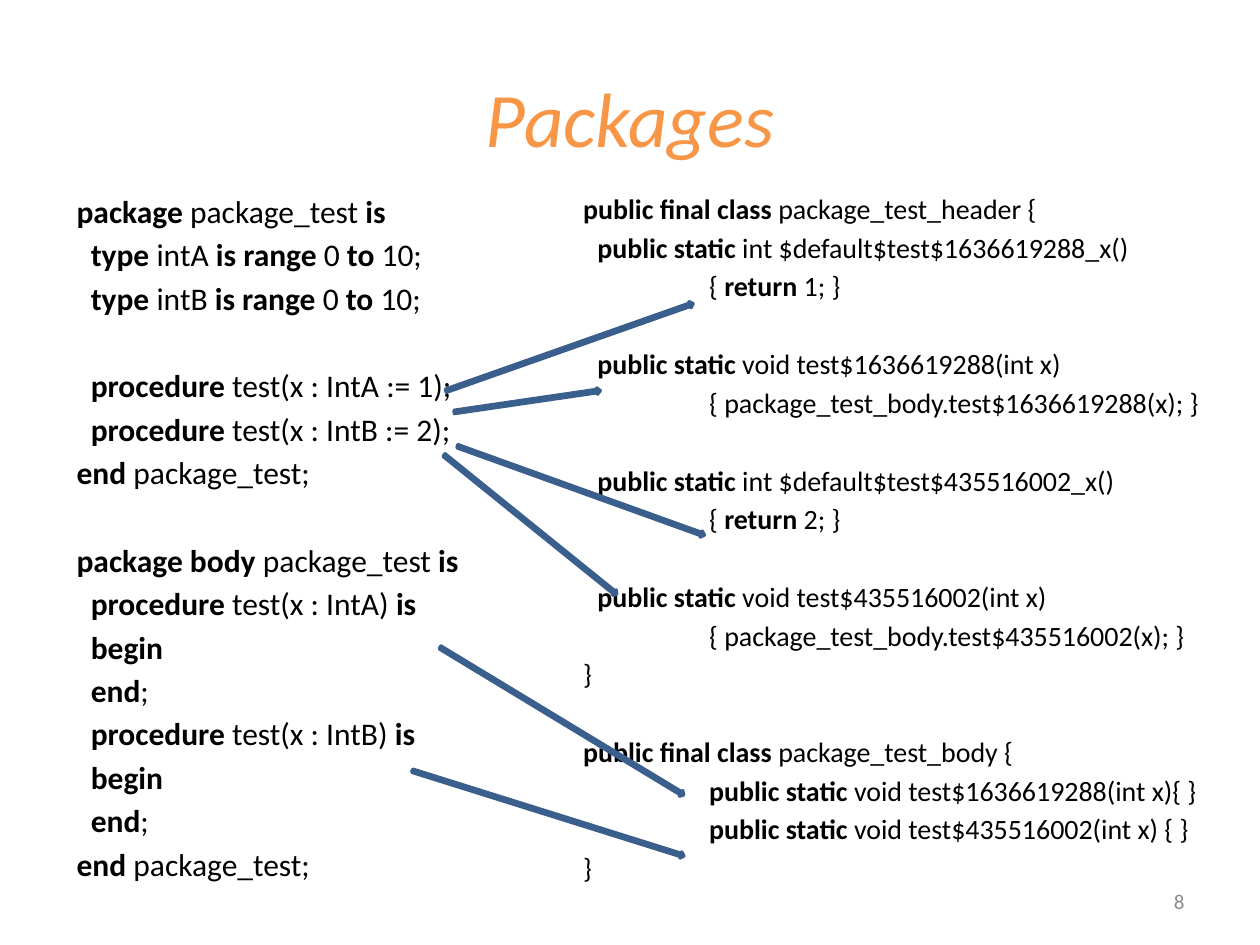
from dataclasses import dataclass
from math import atan2, degrees, hypot

from pptx import Presentation
from pptx.dml.color import RGBColor
from pptx.enum.shapes import MSO_SHAPE
from pptx.enum.text import MSO_ANCHOR, PP_ALIGN
from pptx.util import Pt


@dataclass(frozen=True)
class Theme:
    font: str = "Calibri"
    accent: str = "F79646"
    ink: str = "000000"
    muted: str = "8C8C8C"
    arrow_fill: str = "4F81BD"
    arrow_line: str = "3A5F8C"
    title_size: float = 44
    ada_size: float = 18
    java_size: float = 16
    number_size: float = 12
    line_height: float = 1.22
    code_spacing: float = 0.18


THEME = Theme()

# Code lines are (indent in points, text); *stars* mark bold keywords.
# None opens a gap of one line.
STEP, DEEP = 8.1, 72
ADA = [
    (0, "*package* package_test *is*"),
    (STEP, "*type* intA *is range* 0 *to* 10;"),
    (STEP, "*type* intB *is range* 0 *to* 10;"),
    None,
    (STEP, "*procedure* test(x : IntA := 1);"),
    (STEP, "*procedure* test(x : IntB := 2);"),
    (0, "*end* package_test;"),
    None,
    (0, "*package body* package_test *is*"),
    (STEP, "*procedure* test(x : IntA) *is*"),
    (STEP, "*begin*"),
    (STEP, "*end*;"),
    (STEP, "*procedure* test(x : IntB) *is*"),
    (STEP, "*begin*"),
    (STEP, "*end*;"),
    (0, "*end* package_test;"),
]
JAVA = [
    (0, "*public final class* package_test_header {"),
    (STEP, "*public static* int $default$test$1636619288_x()"),
    (DEEP, "{ *return* 1; }"),
    None,
    (STEP, "*public static* void test$1636619288(int x)"),
    (DEEP, "{ package_test_body.test$1636619288(x); }"),
    None,
    (STEP, "*public static* int $default$test$435516002_x()"),
    (DEEP, "{ *return* 2; }"),
    None,
    (STEP, "*public static* void test$435516002(int x)"),
    (DEEP, "{ package_test_body.test$435516002(x); }"),
    (0, "}"),
    None,
    (0, "*public final class* package_test_body {"),
    (DEEP, "*public static* void test$1636619288(int x){ }"),
    (DEEP, "*public static* void test$435516002(int x) { }"),
    (0, "}"),
]

# Tail and tip of each arrow, from the corner of the code area
TRANSLATIONS = [
    ((215.5, 264), (354.7, 348.3)),
    ((199.6, 334.4), (354.8, 383.1)),
    ((217.8, 154.1), (316.4, 233.7)),
    ((225.4, 149), (366.4, 199.8)),
    ((218.8, 117.3), (360, 67.5)),
    ((223.6, 129.4), (307, 117.2)),
]


def add_frame(slide, box, anchor=MSO_ANCHOR.TOP):
    frame = slide.shapes.add_textbox(*(Pt(v) for v in box)).text_frame
    frame.word_wrap = True
    frame.vertical_anchor = anchor
    return frame


def write(paragraph, text, *, size, color=THEME.ink, italic=False,
          align=PP_ALIGN.LEFT, before=0, indent=0):
    paragraph.alignment = align
    paragraph.space_before = Pt(before)
    properties = paragraph._p.get_or_add_pPr()
    properties.set("marL", str(Pt(indent)))
    properties.set("indent", "0")
    for position, part in enumerate(text.split("*")):
        if part:
            run = paragraph.add_run()
            run.text = part
            run.font.name = THEME.font
            run.font.size = Pt(size)
            run.font.bold = position % 2 == 1
            run.font.italic = italic
            run.font.color.rgb = RGBColor.from_string(color)


def add_label(slide, box, text, **style):
    frame = add_frame(slide, box, MSO_ANCHOR.MIDDLE)
    write(frame.paragraphs[0], text, **style)


def add_listing(slide, box, lines, size):
    frame = add_frame(slide, box)
    spacing = size * THEME.code_spacing
    before, paragraph = spacing, frame.paragraphs[0]
    for line in lines:
        if line is None:
            before += size * THEME.line_height + spacing
            continue
        indent, text = line
        paragraph = paragraph or frame.add_paragraph()
        write(paragraph, text, size=size, before=before, indent=indent)
        before, paragraph = spacing, None


def add_arrows(slide, box, arrows, thickness=3.6):
    left, top = box[:2]
    for (x1, y1), (x2, y2) in arrows:
        length = hypot(x2 - x1, y2 - y1)
        arrow = slide.shapes.add_shape(
            MSO_SHAPE.RIGHT_ARROW,
            Pt(left + (x1 + x2 - length) / 2),
            Pt(top + (y1 + y2 - thickness) / 2),
            Pt(length), Pt(thickness))
        arrow.rotation = degrees(atan2(y2 - y1, x2 - x1)) % 360
        arrow.shadow.inherit = False
        arrow.fill.solid()
        arrow.fill.fore_color.rgb = RGBColor.from_string(THEME.arrow_fill)
        arrow.line.color.rgb = RGBColor.from_string(THEME.arrow_line)
        arrow.line.width = Pt(2)


def add_code_area(slide, box):
    left, top, width, height = box
    # Ada source, generated Java, and the links between them
    add_listing(slide, (left + 0.7, top, 317.5, height), ADA, THEME.ada_size)
    add_listing(slide, (left + 290.2, top, width - 290.2, height), JAVA,
                THEME.java_size)
    add_arrows(slide, box, TRANSLATIONS)


def build_packages_slide(deck):
    slide = deck.slides.add_slide(deck.slide_layouts[6])
    # Title
    add_label(slide, (36, 21.6, 648, 90), "Packages", size=THEME.title_size,
              color=THEME.accent, italic=True, align=PP_ALIGN.CENTER)
    # Code
    add_code_area(slide, (36, 106, 664.6, 408))
    # Slide number
    add_label(slide, (516, 500.5, 168, 28.8), "8", size=THEME.number_size,
              color=THEME.muted, align=PP_ALIGN.RIGHT)


deck = Presentation()
deck.slide_width, deck.slide_height = Pt(720), Pt(540)
build_packages_slide(deck)
deck.save("out.pptx")
